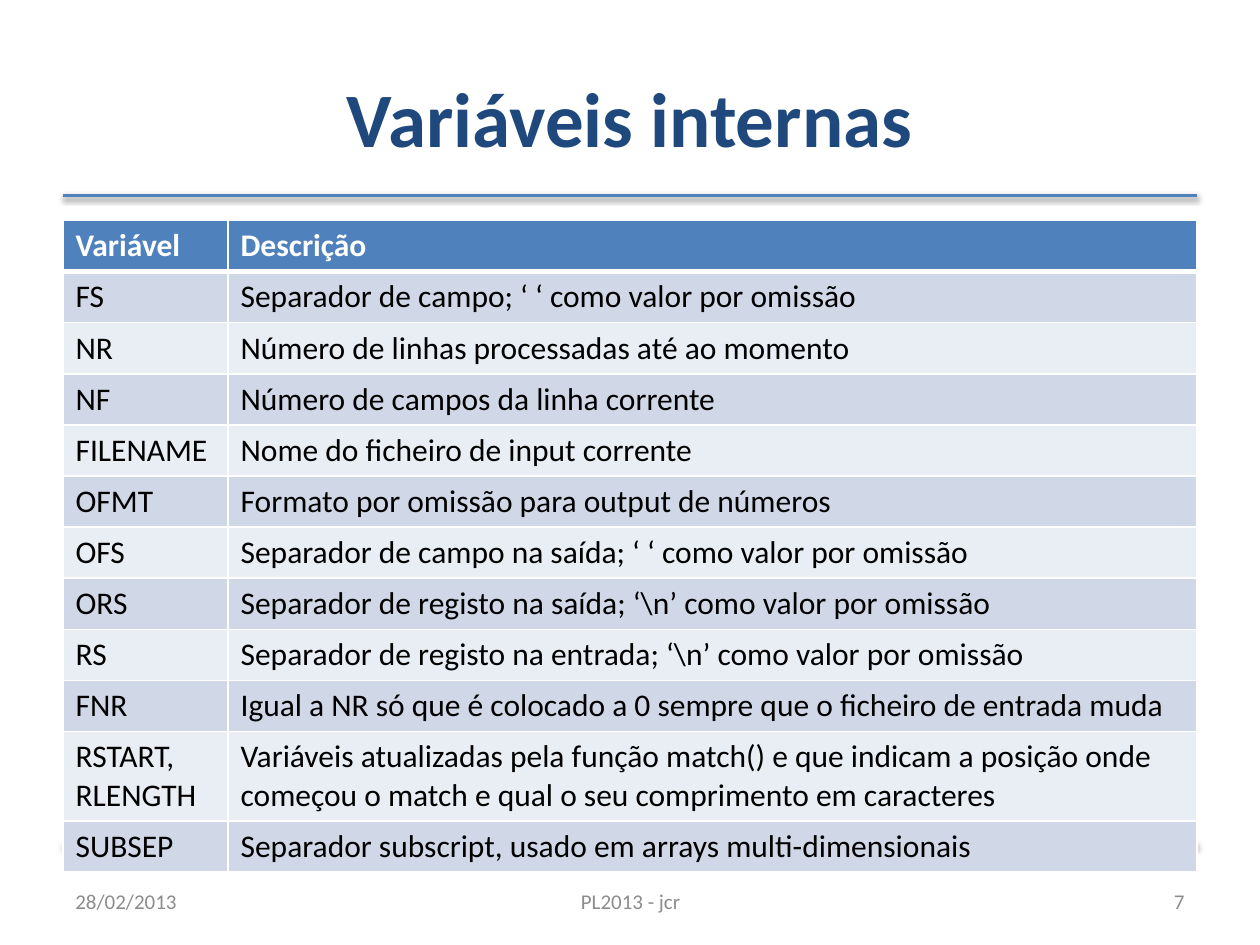
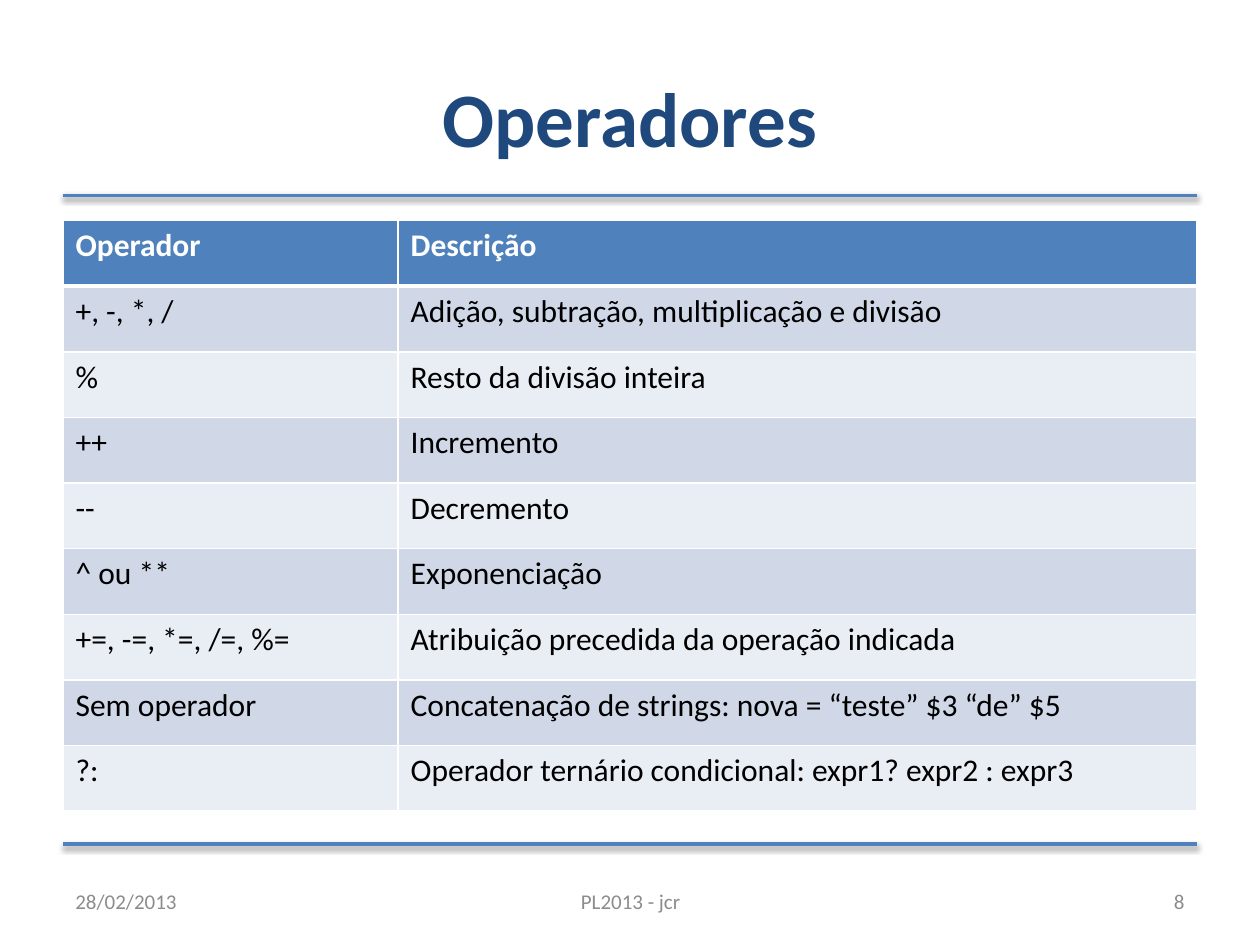
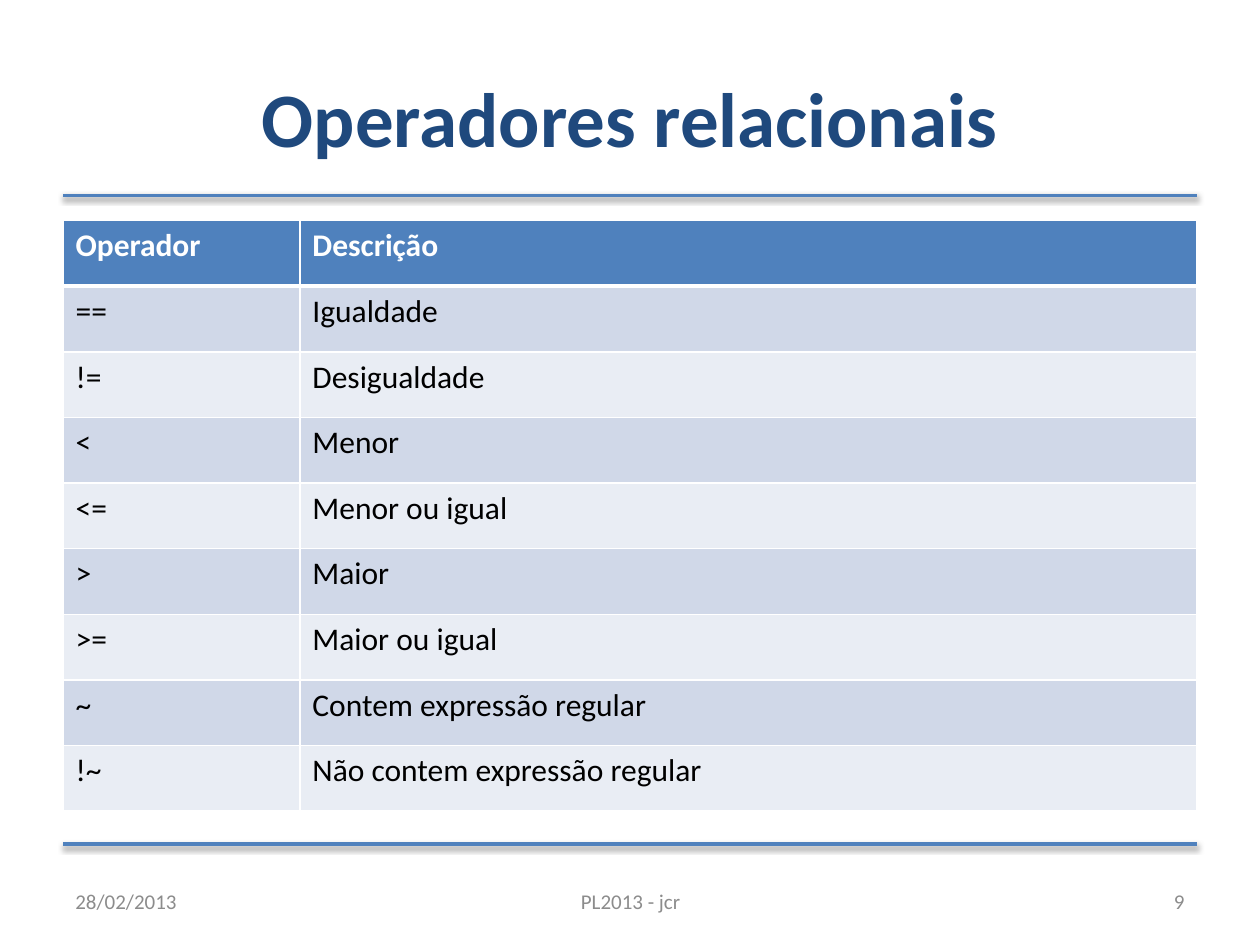
from dataclasses import dataclass
from typing import Any

from lxml import etree
from pptx import Presentation
from pptx.dml.color import RGBColor
from pptx.enum.shapes import MSO_CONNECTOR
from pptx.enum.text import MSO_ANCHOR, PP_ALIGN
from pptx.oxml.ns import qn
from pptx.util import Inches, Pt

LEFT, CENTER, RIGHT = PP_ALIGN.LEFT, PP_ALIGN.CENTER, PP_ALIGN.RIGHT
MIDDLE = MSO_ANCHOR.MIDDLE
STRAIGHT = MSO_CONNECTOR.STRAIGHT
TITLE_ONLY = 5

BLUE, NAVY, GRAY = "4F81BD", "1F497D", "8C8C8C"
WHITE, BLACK = "FFFFFF", "000000"
BANDS = ("D0D8E8", "E9EDF4")

MARGIN, CONTENT_WIDTH = 0.5, 9
RULE_TOPS = (1.55, 6.7)
TABLE_TOP = 1.75
FOOTER_TOP, FOOTER_HEIGHT = 6.95, 0.4

TITLE_FORMAT = {"name": "Calibri", "size": Pt(44), "bold": True}
HEADER_FORMAT = {"name": "Calibri", "size": Pt(18), "bold": True}
BODY_FORMAT = {"name": "Calibri", "size": Pt(18), "bold": False}
FOOTER_FORMAT = {"name": "Calibri", "size": Pt(12), "bold": False}


@dataclass(frozen=True)
class TableSlide:
    title: str
    number: int
    first_width: float
    height: float
    rows: list[tuple[str, str]]


@dataclass(frozen=True)
class Footer:
    text: str
    left: float
    width: float
    align: Any


SLIDES = [
    TableSlide("Variáveis internas", 7, 1.31, 4.86, [
        ("Variável", "Descrição"),
        ("FS", "Separador de campo; ‘ ‘ como valor por omissão"),
        ("NR", "Número de linhas processadas até ao momento"),
        ("NF", "Número de campos da linha corrente"),
        ("FILENAME", "Nome do ficheiro de input corrente"),
        ("OFMT", "Formato por omissão para output de números"),
        ("OFS", "Separador de campo na saída; ‘ ‘ como valor por omissão"),
        ("ORS", "Separador de registo na saída; ‘\\n’ como valor por omissão"),
        ("RS", "Separador de registo na entrada; ‘\\n’ como valor por omissão"),
        ("FNR", "Igual a NR só que é colocado a 0 sempre que o ficheiro de entrada muda"),
        ("RSTART, RLENGTH",
         "Variáveis atualizadas pela função match() e que indicam a posição onde "
         "começou o match e qual o seu comprimento em caracteres"),
        ("SUBSEP", "Separador subscript, usado em arrays multi-dimensionais"),
    ]),
    TableSlide("Operadores", 8, 2.66, 4.69, [
        ("Operador", "Descrição"),
        ("+, -, *, /", "Adição, subtração, multiplicação e divisão"),
        ("%", "Resto da divisão inteira"),
        ("++", "Incremento"),
        ("--", "Decremento"),
        ("^ ou **", "Exponenciação"),
        ("+=, -=, *=, /=, %=", "Atribuição precedida da operação indicada"),
        ("Sem operador", "Concatenação de strings: nova = “teste” $3 “de” $5"),
        ("?:", "Operador ternário condicional: expr1? expr2 : expr3"),
    ]),
    TableSlide("Operadores relacionais", 9, 1.88, 4.69, [
        ("Operador", "Descrição"),
        ("==", "Igualdade"),
        ("!=", "Desigualdade"),
        ("<", "Menor"),
        ("<=", "Menor ou igual"),
        (">", "Maior"),
        (">=", "Maior ou igual"),
        ("~", "Contem expressão regular"),
        ("!~", "Não contem expressão regular"),
    ]),
]


def color(value: str) -> RGBColor:
    return RGBColor.from_string(value)


def write(frame: Any, text: str, formats: dict[str, Any], tint: str, align: Any) -> None:
    paragraph = frame.paragraphs[0]
    paragraph.alignment = align
    span = paragraph.add_run()
    span.text = text
    for name, value in formats.items():
        setattr(span.font, name, value)
    span.font.color.rgb = color(tint)


def add_title(page: Any, text: str) -> None:
    title = page.shapes.title
    title.left, title.top = Inches(MARGIN), Inches(0.3)
    title.width, title.height = Inches(CONTENT_WIDTH), Inches(1.25)
    title.text_frame.vertical_anchor = MIDDLE
    write(title.text_frame, text, TITLE_FORMAT, NAVY, CENTER)


def add_rule(page: Any, top: float) -> None:
    rule = page.shapes.add_connector(
        STRAIGHT, Inches(MARGIN), Inches(top), Inches(MARGIN + CONTENT_WIDTH), Inches(top)
    )
    rule.line.color.rgb = color(BLUE)
    rule.line.width = Pt(2)
    effects = etree.SubElement(rule._element.spPr, qn("a:effectLst"))
    shadow = etree.SubElement(
        effects, qn("a:outerShdw"), blurRad=str(Pt(3.1)), dist=str(Pt(1.6)),
        dir="5400000", rotWithShape="0",
    )
    shade = etree.SubElement(shadow, qn("a:srgbClr"), val=BLACK)
    etree.SubElement(shade, qn("a:alpha"), val="38000")


def add_borders(cell: Any, top: float, bottom: float) -> None:
    properties = cell._tc.get_or_add_tcPr()
    for side, width in {"lnL": 1, "lnR": 1, "lnT": top, "lnB": bottom}.items():
        line = etree.SubElement(properties, qn(f"a:{side}"), w=str(Pt(width)))
        fill = etree.SubElement(line, qn("a:solidFill"))
        etree.SubElement(fill, qn("a:srgbClr"), val=WHITE)


def add_table(page: Any, content: TableSlide) -> None:
    table = page.shapes.add_table(
        len(content.rows), 2, Inches(MARGIN), Inches(TABLE_TOP),
        Inches(CONTENT_WIDTH), Inches(content.height),
    ).table
    table.columns[0].width = Inches(content.first_width)
    table.columns[1].width = Inches(CONTENT_WIDTH - content.first_width)
    for row, texts in enumerate(content.rows):
        header = row == 0
        for column, text in enumerate(texts):
            cell = table.cell(row, column)
            add_borders(cell, 3 if row == 1 else 1, 3 if header else 1)
            cell.fill.solid()
            cell.fill.fore_color.rgb = color(BLUE if header else BANDS[(row - 1) % 2])
            write(cell.text_frame, text, HEADER_FORMAT if header else BODY_FORMAT,
                  WHITE if header else BLACK, LEFT)


def add_footer(page: Any, footer: Footer) -> None:
    box = page.shapes.add_textbox(
        Inches(footer.left), Inches(FOOTER_TOP), Inches(footer.width), Inches(FOOTER_HEIGHT)
    )
    box.text_frame.word_wrap = True
    box.text_frame.vertical_anchor = MIDDLE
    write(box.text_frame, footer.text, FOOTER_FORMAT, GRAY, footer.align)


def add_page(deck: Any, content: TableSlide) -> None:
    page = deck.slides.add_slide(deck.slide_layouts[TITLE_ONLY])
    for top in RULE_TOPS:
        add_rule(page, top)
    add_title(page, content.title)
    add_table(page, content)
    for footer in (
        Footer("28/02/2013", MARGIN, 2.33, LEFT),
        Footer("PL2013 - jcr", 3.42, 3.17, CENTER),
        Footer(str(content.number), 7.17, 2.33, RIGHT),
    ):
        add_footer(page, footer)


def main() -> None:
    deck = Presentation()
    deck.slide_width, deck.slide_height = Inches(10), Inches(7.5)
    for content in SLIDES:
        add_page(deck, content)
    deck.save("out.pptx")


main()
